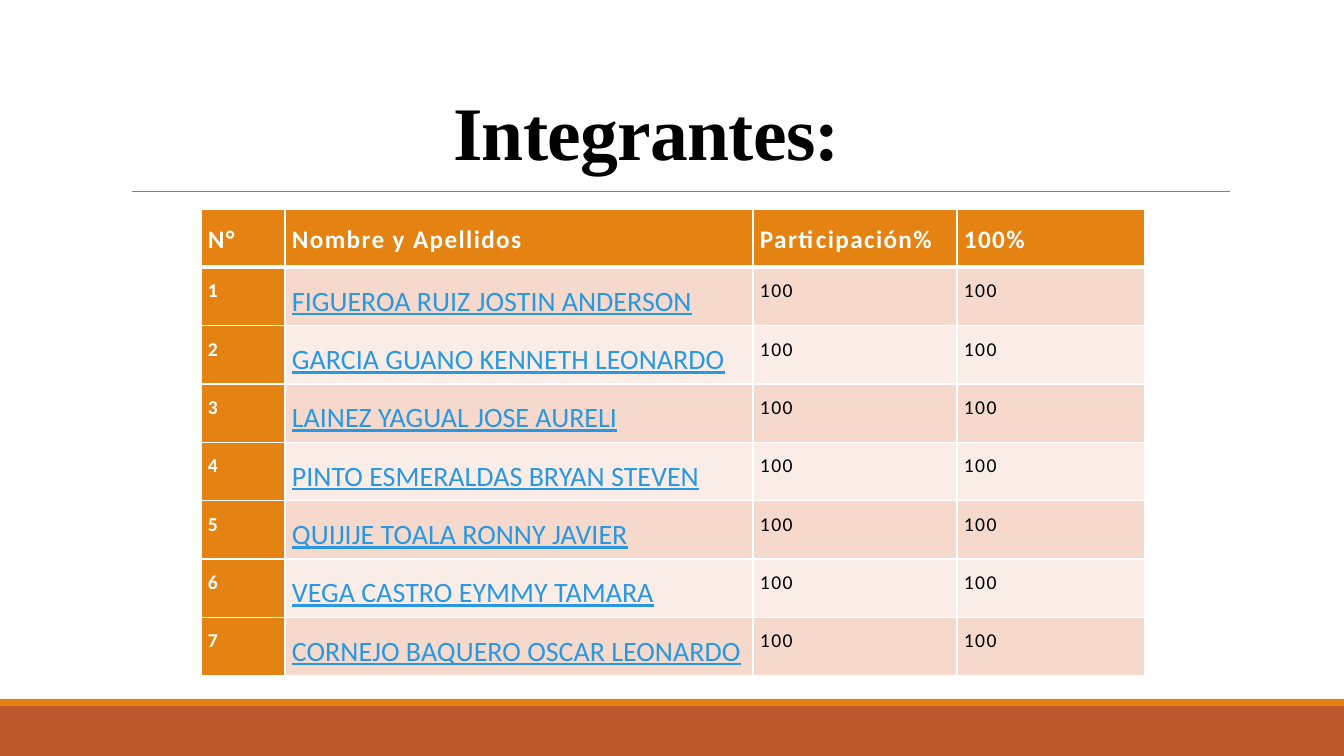
"""Build the slide that lists the team members and their participation."""
from dataclasses import dataclass

from lxml import etree
from pptx import Presentation
from pptx import util as u
from pptx.dml.color import RGBColor
from pptx.enum import shapes, text
from pptx.oxml import ns

SCALE = 914400 / 100.8
WIDE, HIGH = 1344, 756
HEX = {
    "rust": "BD582C", "orange": "E48312", "gray": "808080", "white": "FFFFFF",
    "black": "000000", "blue": "2998E3", "dark": "F5D9CC", "light": "FAEDE7",
}
HEADS = ("N°", "Nombre y Apellidos", "Participación%", "100%")
NAMES = (
    "FIGUEROA RUIZ JOSTIN ANDERSON",
    "GARCIA GUANO KENNETH LEONARDO",
    "LAINEZ YAGUAL JOSE AURELI",
    "PINTO ESMERALDAS BRYAN STEVEN",
    "QUIJIJE TOALA RONNY JAVIER",
    "VEGA CASTRO EYMMY TAMARA",
    "CORNEJO BAQUERO OSCAR LEONARDO",
)
COLS = (84, 468, 204, 188)


@dataclass(frozen=True)
class Band:
    top: int
    high: int
    fill: str


@dataclass(frozen=True)
class Style:
    size: int
    color: str
    bold: bool = False
    line: bool = False
    space: int = 100
    font: str = "Calibri"


BANDS = (Band(706, 50, "rust"), Band(699, 7, "orange"))
TITLE = Style(54, "black", bold=True, space=-50, font="Times New Roman")
HEAD = Style(18, "white", bold=True)
INDEX = Style(14, "white", bold=True)
NAME = Style(20, "blue", line=True, space=0)
SHARE = Style(14, "black")


def px(num: int) -> u.Emu:
    return u.Emu(round(num * SCALE))


def rgb(key: str) -> RGBColor:
    return RGBColor.from_string(HEX[key])


def write(frame, words: str, style: Style, align, gap: float) -> None:
    frame.text = words
    para = frame.paragraphs[0]
    para.alignment, para.line_spacing = align, gap
    para.space_before = para.space_after = u.Pt(0)
    run = para.runs[0]
    font = run.font
    font.name, font.size = style.font, u.Pt(style.size)
    font.bold, font.underline = style.bold, style.line
    font.color.rgb = rgb(style.color)
    font._element.set("spc", str(style.space))


def draw_band(slide, band: Band) -> None:
    rect = slide.shapes.add_shape(
        shapes.MSO_SHAPE.RECTANGLE, 0, px(band.top), px(WIDE), px(band.high))
    rect.shadow.inherit = False
    rect.fill.solid()
    rect.fill.fore_color.rgb = rgb(band.fill)
    rect.line.fill.background()


def draw_rule(slide) -> None:
    rule = slide.shapes.add_connector(
        shapes.MSO_CONNECTOR.STRAIGHT, px(132), px(191), px(1230), px(191))
    rule.line.color.rgb = rgb("gray")
    rule.line.width = u.Pt(0.5)
    etree.SubElement(rule._element.spPr, ns.qn("a:effectLst"))


def draw_title(slide) -> None:
    box = slide.shapes.add_textbox(px(92), px(21), px(1109), px(160))
    frame = box.text_frame
    frame.word_wrap = True
    frame.vertical_anchor = text.MSO_ANCHOR.BOTTOM
    write(frame, "Integrantes:", TITLE, text.PP_ALIGN.CENTER, 0.85)


def edge(cell, row: int) -> None:
    props = cell._tc.get_or_add_tcPr()
    thick = {"lnT": 3 if row == 1 else 1, "lnB": 3 if row == 0 else 1}
    for spot, side in enumerate(("lnL", "lnR", "lnT", "lnB")):
        line = etree.Element(ns.qn(f"a:{side}"), w=str(u.Pt(thick.get(side, 1))))
        fill = etree.SubElement(line, ns.qn("a:solidFill"))
        etree.SubElement(fill, ns.qn("a:srgbClr"), val=HEX["white"])
        props.insert(spot, line)


def draw_cell(cell, row: int, words: str, style: Style, fill: str) -> None:
    cell.margin_left = cell.margin_right = px(7)
    cell.margin_top = cell.margin_bottom = 0
    cell.fill.solid()
    cell.fill.fore_color.rgb = rgb(fill)
    edge(cell, row)
    write(cell.text_frame, words, style, text.PP_ALIGN.JUSTIFY, 1.5)


def draw_table(slide) -> None:
    rows = [HEADS] + [(str(num), name, "100", "100")
                      for num, name in enumerate(NAMES, 1)]
    grid = slide.shapes.add_table(
        len(rows), len(COLS), px(201), px(209), px(sum(COLS)), px(467)).table
    grid.first_row = grid.horz_banding = False
    for col, wide in zip(grid.columns, COLS):
        col.width = px(wide)
    for row, line in enumerate(rows):
        styles = (INDEX, NAME, SHARE, SHARE) if row else (HEAD,) * len(COLS)
        tint = "dark" if row % 2 else "light"
        for col, words in enumerate(line):
            fill = tint if row and col else "orange"
            draw_cell(grid.cell(row, col), row, words, styles[col], fill)


def main() -> None:
    deck = Presentation()
    deck.slide_width, deck.slide_height = px(WIDE), px(HIGH)
    slide = deck.slides.add_slide(deck.slide_layouts[6])
    for band in BANDS:
        draw_band(slide, band)
    draw_rule(slide)
    draw_title(slide)
    draw_table(slide)
    deck.save("out.pptx")


main()
